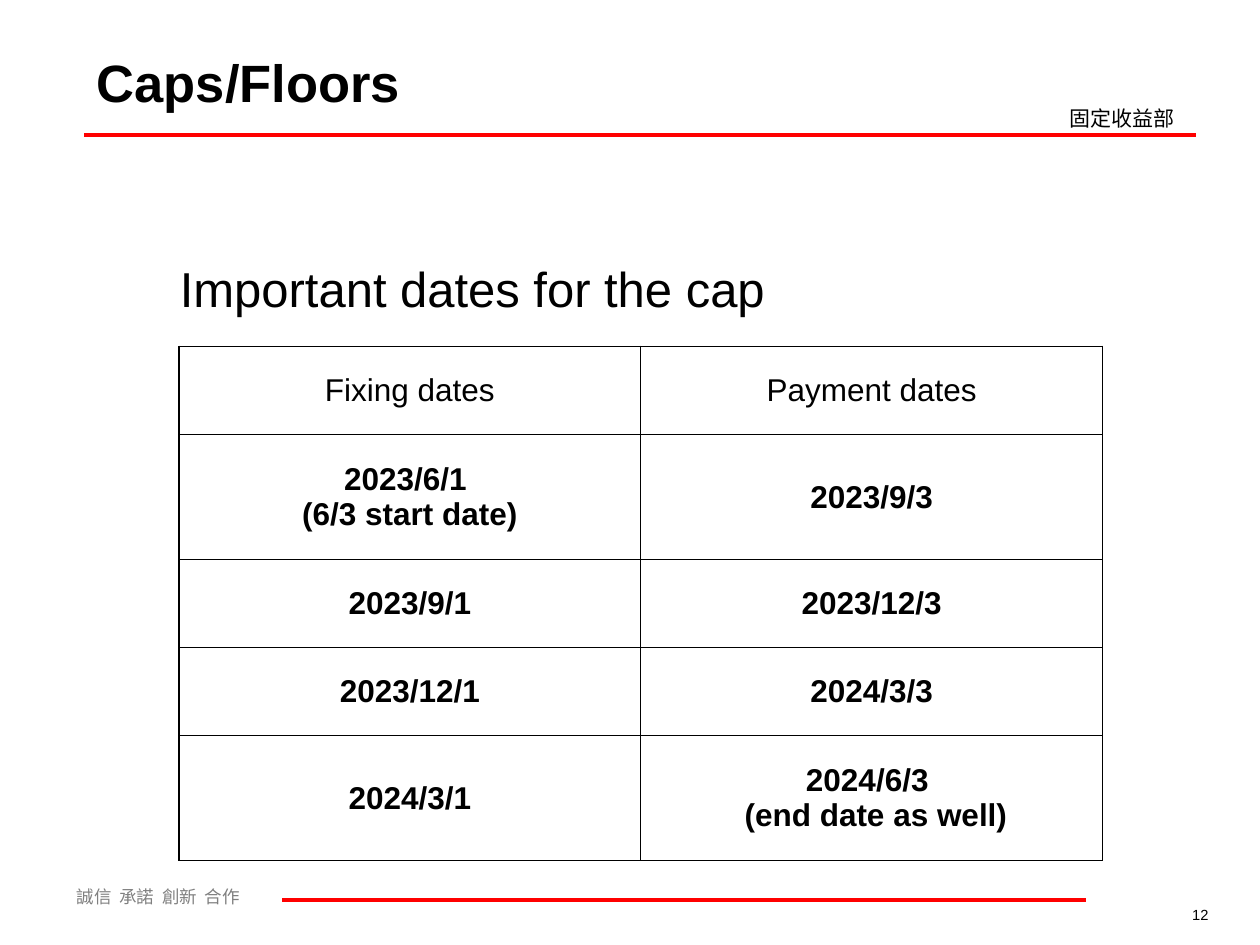
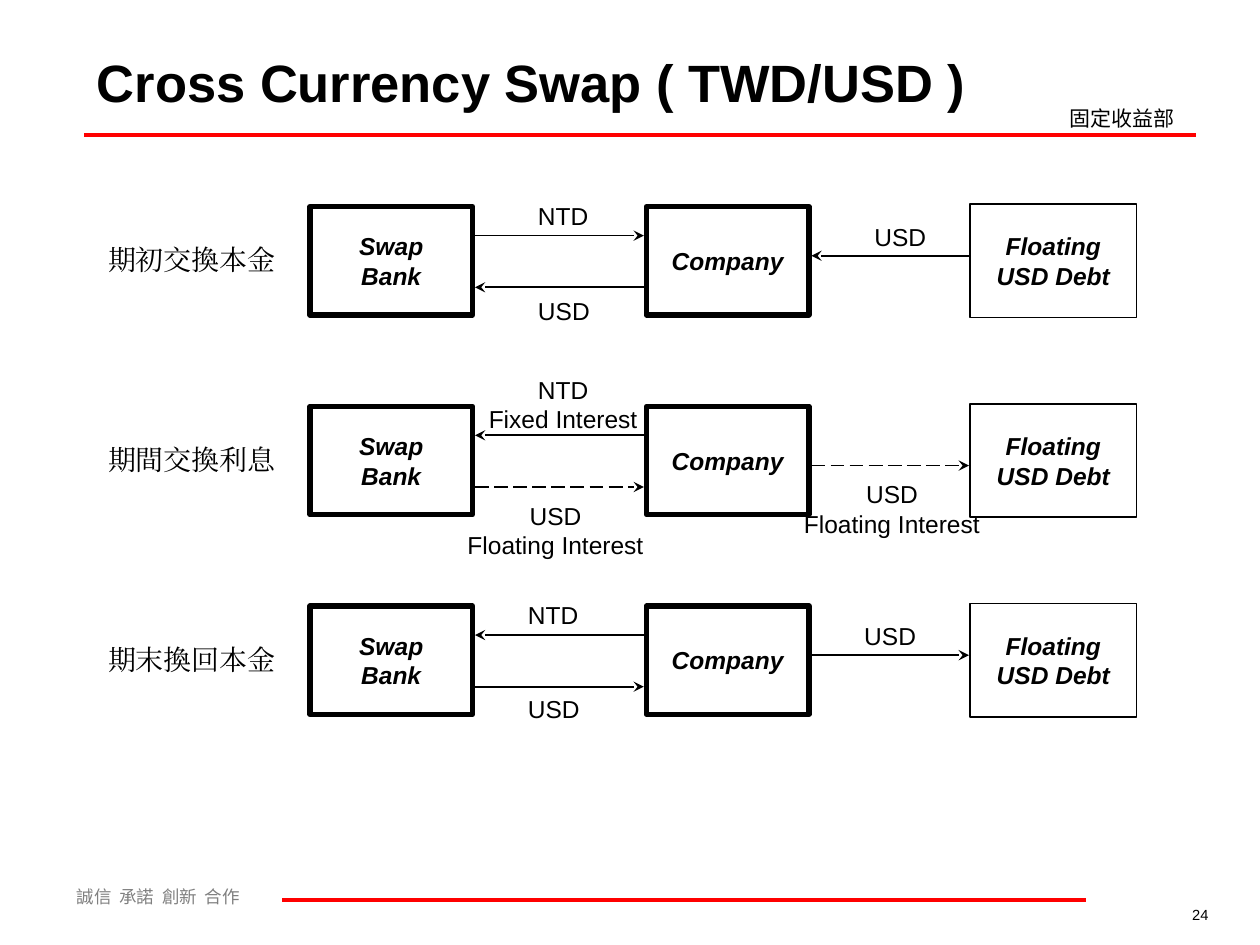
from lxml import etree
from pptx import Presentation, util as u
from pptx.dml.color import RGBColor
from pptx.enum import dml, shapes, text
from pptx.oxml.ns import qn

BLACK, WHITE, RED, GREY = "000000", "FFFFFF", "FF0000", "808080"
LATIN, CJK, SERIF = "Arial", "Noto Sans CJK SC", "TeX Gyre Pagella"
LEFT, CENTER, RIGHT = text.PP_ALIGN.LEFT, text.PP_ALIGN.CENTER, text.PP_ALIGN.RIGHT
TOP, MIDDLE = text.MSO_ANCHOR.TOP, text.MSO_ANCHOR.MIDDLE

DEPARTMENT = "固定收益部"
MOTTO = "誠信  承諾  創新  合作"

CAP_DATES = [
    ("Fixing dates", "Payment dates"),
    ("2023/6/1 \n(6/3 start date)", "2023/9/3"),
    ("2023/9/1", "2023/12/3"),
    ("2023/12/1", "2024/3/3"),
    ("2024/3/1", "2024/6/3 \n (end date as well)"),
]
ROW_HEIGHT = {1: 0.7, 2: 0.99}  # by number of lines in the row

# Party: name, left, inset from the row's top, width, line width
PARTIES = [
    ("Swap\nBank", 2.46, 0.02, 1.29, 3),
    ("Company", 5.13, 0.02, 1.29, 3),
    ("Floating\nUSD Debt", 7.7, 0, 1.32, 1),
]
PARTY_HEIGHT = 0.9
BANK_SIDE, DEBT_SIDE = (3.77, 5.11), (6.44, 7.69)  # the gaps that arrows cross
FIRST_ROW, ROW_STEP = 1.62, 1.585
LABEL_WIDTH = {"NTD": 0.6, "USD": 0.61, "Fixed Interest": 1.38, "Floating Interest": 1.6}
LABEL_HEIGHT = {1: 0.33, 2: 0.57}

# Flow: side, arrow's drop, direction, dashed, label, label's centre, label's drop
STAGES = [
    ("期初交換本金", [
        (BANK_SIDE, 0.25, "right", False, "NTD", 4.47, -0.07),
        (BANK_SIDE, 0.66, "left", False, "USD", 4.475, 0.68),
        (DEBT_SIDE, 0.41, "left", False, "USD", 7.145, 0.09),
    ]),
    ("期間交換利息", [
        (BANK_SIDE, 0.25, "left", False, "NTD\nFixed Interest", 4.47, -0.28),
        (BANK_SIDE, 0.66, "right", True, "USD\nFloating Interest", 4.41, 0.72),
        (DEBT_SIDE, 0.49, "right", True, "USD\nFloating Interest", 7.08, 0.55),
    ]),
    ("期末換回本金", [
        (BANK_SIDE, 0.25, "left", False, "NTD", 4.39, -0.08),
        (BANK_SIDE, 0.66, "right", False, "USD", 4.395, 0.67),
        (DEBT_SIDE, 0.41, "right", False, "USD", 7.065, 0.09),
    ]),
]


def rgb(color):
    return RGBColor.from_string(color)


def inches(*lengths):
    return [u.Inches(n) for n in lengths]


def write(tf, content, size=14, font=LATIN, color=BLACK, bold=False, italic=False,
          align=LEFT, anchor=TOP, wrap=True):
    """Fill a text frame, one paragraph for each line of content."""
    tf.word_wrap = wrap
    tf.vertical_anchor = anchor
    for i, line in enumerate(content.split("\n")):
        p = tf.add_paragraph() if i else tf.paragraphs[0]
        p.alignment = align
        r = p.add_run()
        r.text = line
        f = r.font
        f.size, f.name, f.bold, f.italic = u.Pt(size), font, bold, italic
        f.color.rgb = rgb(color)
        if font != LATIN:
            etree.SubElement(r._r.get_or_add_rPr(), qn("a:ea"), typeface=font)


def add_text(s, content, x, y, w, h, **style):
    write(s.shapes.add_textbox(*inches(x, y, w, h)).text_frame, content, **style)


def add_line(s, x1, x2, y, color=BLACK, width=1, dashed=False, arrow=False):
    """Draw a level line from x1 to x2, with the arrowhead at x2."""
    c = s.shapes.add_connector(shapes.MSO_CONNECTOR.STRAIGHT, *inches(x1, y, x2, y))
    c.line.color.rgb = rgb(color)
    c.line.width = u.Pt(width)
    if dashed:
        c.line.dash_style = dml.MSO_LINE.LONG_DASH
    if arrow:
        etree.SubElement(c.line._get_or_add_ln(), qn("a:tailEnd"), type="stealth")
    etree.SubElement(c._element.spPr, qn("a:effectLst"))


def add_party(s, row_top, name, x, inset, width, line):
    sp = s.shapes.add_shape(shapes.MSO_SHAPE.RECTANGLE, *inches(
        x, row_top + inset, width, PARTY_HEIGHT - 2 * inset))
    sp.shadow.inherit = False
    sp.fill.solid()
    sp.fill.fore_color.rgb = rgb(WHITE)
    sp.line.color.rgb = rgb(BLACK)
    sp.line.width = u.Pt(line)
    write(sp.text_frame, name, bold=True, italic=True, align=CENTER,
          anchor=MIDDLE, wrap=False)


def set_borders(cell, outer_sides):
    """Rule the four sides of a cell, heavier on the outer ones."""
    tc_pr = cell._tc.get_or_add_tcPr()
    for i, side in enumerate("LRTB"):
        width = u.Pt(1.08 if side in outer_sides else 0.45)
        ln = etree.Element(qn("a:ln" + side), w=str(width))
        fill = etree.SubElement(ln, qn("a:solidFill"))
        etree.SubElement(fill, qn("a:srgbClr"), val=BLACK)
        tc_pr.insert(i, ln)


def add_dates_table(s, rows, x, y, width):
    heights = [ROW_HEIGHT[1 + max(c.count("\n") for c in row)] for row in rows]
    n_rows, n_cols = len(rows), len(rows[0])
    table = s.shapes.add_table(n_rows, n_cols, *inches(x, y, width, sum(heights))).table
    for i, row in enumerate(rows):
        table.rows[i].height = u.Inches(heights[i])
        for j, content in enumerate(row):
            cell = table.cell(i, j)
            cell.fill.solid()
            cell.fill.fore_color.rgb = rgb(WHITE)
            cell.vertical_anchor = MIDDLE
            write(cell.text_frame, content, size=18, bold=i > 0, align=CENTER,
                  anchor=MIDDLE)
            edges = {"L": j == 0, "R": j == n_cols - 1, "T": i == 0, "B": i == n_rows - 1}
            set_borders(cell, [side for side, outer in edges.items() if outer])


def add_slide(prs, title, number):
    """Start a slide with the title, red rules and footer that all slides share."""
    s = prs.slides.add_slide(prs.slide_layouts[6])
    add_text(s, MOTTO, 0.51, 6.98, 2.52, 0.27, size=10, font=CJK, color=GREY)
    add_line(s, 0.67, 9.49, 1.07, color=RED, width=2.25)
    add_line(s, 2.24, 8.62, 7.14, color=RED, width=2.25)
    add_text(s, DEPARTMENT, 8.39, 0.79, 1.26, 0.3, size=12, font=CJK)
    add_text(s, str(number), 8.31, 7.14, 1.38, 0.24, size=8.4, align=RIGHT)
    add_text(s, title, 0.67, 0.3, 7.32, 0.69, size=30, bold=True, anchor=MIDDLE)
    return s


def build_caps(prs):
    s = add_slide(prs, "Caps/Floors", 12)
    add_dates_table(s, CAP_DATES, 1.42, 2.75, 7.33)
    add_text(s, "Important dates for the cap", 1.33, 2, 5.17, 0.57, size=28)


def build_swap(prs):
    s = add_slide(prs, "Cross Currency Swap ( TWD/USD )", 24)
    for i, (stage, flows) in enumerate(STAGES):
        top = FIRST_ROW + i * ROW_STEP
        add_text(s, stage, 0.76, top + 0.26, 1.53, 0.37, size=16, font=SERIF, wrap=False)
        for party in PARTIES:
            add_party(s, top, *party)
        for side, drop, direction, dashed, label, center, label_drop in flows:
            start, end = side if direction == "right" else side[::-1]
            add_line(s, start, end, top + drop, dashed=dashed, arrow=True)
            lines = label.split("\n")
            width = LABEL_WIDTH[lines[-1]]
            add_text(s, label, center - width / 2, top + label_drop, width,
                     LABEL_HEIGHT[len(lines)], align=CENTER, wrap=False)


def main():
    prs = Presentation()
    prs.slide_width, prs.slide_height = inches(10, 7.5)
    build_caps(prs)
    build_swap(prs)
    prs.save("out.pptx")


if __name__ == "__main__":
    main()
